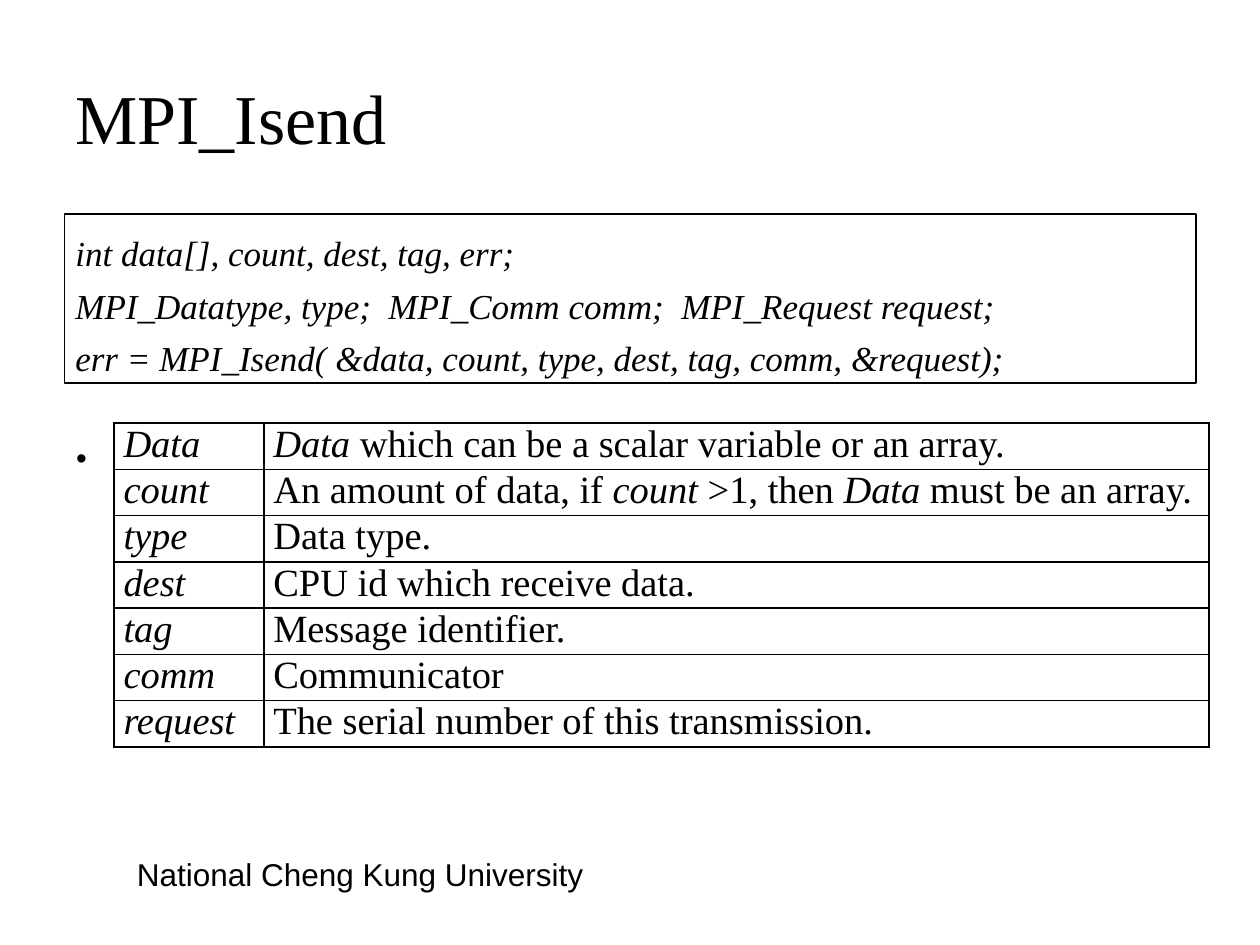
from lxml import etree
from pptx import Presentation
from pptx.dml.color import RGBColor
from pptx.enum import shapes, text
from pptx.oxml.ns import qn
from pptx.util import Cm, Pt

BLACK = RGBColor(0, 0, 0)
SERIF = "Times New Roman"
SANS = "Arial"

CODE = [
    "int data[], count, dest, tag, err;",
    "MPI_Datatype, type;  MPI_Comm comm;  MPI_Request request;",
    "err = MPI_Isend( &data, count, type, dest, tag, comm, &request);",
]
ARGUMENTS = [
    ("*Data*", "*Data* which can be a scalar variable or an array."),
    ("*count*", "An amount of data, if *count* >1, then *Data* must be an array."),
    ("*type*", "Data type."),
    ("*dest*", "CPU id which receive data."),
    ("*tag*", "Message identifier."),
    ("*comm*", "Communicator"),
    ("*request*", "The serial number of this transmission."),
]
COLUMN_WIDTHS = [Cm(3.02), Cm(19.05)]
ROW_HEIGHT = Cm(0.86)


def style(font, name, size, italic=False):
    font.name = name
    font.size = Pt(size)
    font.italic = italic
    font.color.rgb = BLACK


def add_title(page, wording):
    title = page.shapes.title
    title.left, title.top = Cm(1.27), Cm(0.76)
    title.width, title.height = Cm(22.86), Cm(3.18)
    frame = title.text_frame
    frame.text = wording
    frame.vertical_anchor = text.MSO_ANCHOR.MIDDLE
    paragraph = frame.paragraphs[0]
    paragraph.alignment = text.PP_ALIGN.LEFT
    style(paragraph.runs[0].font, SERIF, 40)


def add_text(page, lines, left, top, width, height, font_name, size, italic=False):
    box = page.shapes.add_textbox(left, top, width, height)
    frame = box.text_frame
    frame.word_wrap = True
    frame.text = "\n".join(lines)
    for paragraph in frame.paragraphs:
        for span in paragraph.runs:
            style(span.font, font_name, size, italic)
    return frame


def add_bullet(paragraph):
    properties = paragraph._p.get_or_add_pPr()
    properties.set("marL", str(Cm(0.95)))
    properties.set("indent", str(-Cm(0.95)))
    etree.SubElement(properties, qn("a:buFont")).set("typeface", SERIF)
    etree.SubElement(properties, qn("a:buChar")).set("char", "•")


def add_code(page):
    frame = add_text(page, CODE + [" "], Cm(1.27), Cm(4.55), Cm(22.86), Cm(13.44),
                     SERIF, 20, italic=True)
    for paragraph in frame.paragraphs[1:-1]:
        paragraph.space_before = Pt(5.9)
    marker = frame.paragraphs[-1]
    marker.space_before = Pt(34)
    add_bullet(marker)
    marker.runs[0].font.italic = False


def add_frame(page):
    outline = page.shapes.add_shape(shapes.MSO_SHAPE.RECTANGLE,
                                    Cm(1.3), Cm(4.32), Cm(22.81), Cm(3.4))
    outline.shadow.inherit = False
    outline.fill.background()
    outline.line.color.rgb = BLACK
    outline.line.width = Pt(1)


def add_borders(cell):
    properties = cell._tc.get_or_add_tcPr()
    for position, side in enumerate(("lnL", "lnR", "lnT", "lnB")):
        line = etree.Element(qn(f"a:{side}"), w=str(Pt(1)))
        fill = etree.SubElement(line, qn("a:solidFill"))
        etree.SubElement(fill, qn("a:srgbClr")).set("val", str(BLACK))
        properties.insert(position, line)


def fill_cell(cell, wording):
    cell.fill.background()
    add_borders(cell)
    cell.margin_left = cell.margin_right = Cm(0.19)
    cell.margin_top = cell.margin_bottom = 0
    paragraph = cell.text_frame.paragraphs[0]
    for index, piece in enumerate(wording.split("*")):
        if piece:
            span = paragraph.add_run()
            span.text = piece
            style(span.font, SERIF, 22, italic=index % 2 == 1)


def add_arguments(page):
    table = page.shapes.add_table(len(ARGUMENTS), len(COLUMN_WIDTHS), Cm(2.3), Cm(8.53),
                                  sum(COLUMN_WIDTHS), ROW_HEIGHT * len(ARGUMENTS)).table
    table.first_row = False
    table.horz_banding = False
    for column, width in zip(table.columns, COLUMN_WIDTHS):
        column.width = width
    for row, wordings in zip(table.rows, ARGUMENTS):
        row.height = ROW_HEIGHT
        for cell, wording in zip(row.cells, wordings):
            fill_cell(cell, wording)


def main():
    deck = Presentation()
    deck.slide_width, deck.slide_height = Cm(25.4), Cm(19.05)
    page = deck.slides.add_slide(deck.slide_layouts[5])
    add_text(page, ["National Cheng Kung University"],
             Cm(2.51), Cm(17.12), Cm(13.59), Cm(1.02), SANS, 18)
    add_title(page, "MPI_Isend")
    add_code(page)
    add_arguments(page)
    add_frame(page)
    deck.save("out.pptx")


if __name__ == "__main__":
    main()
